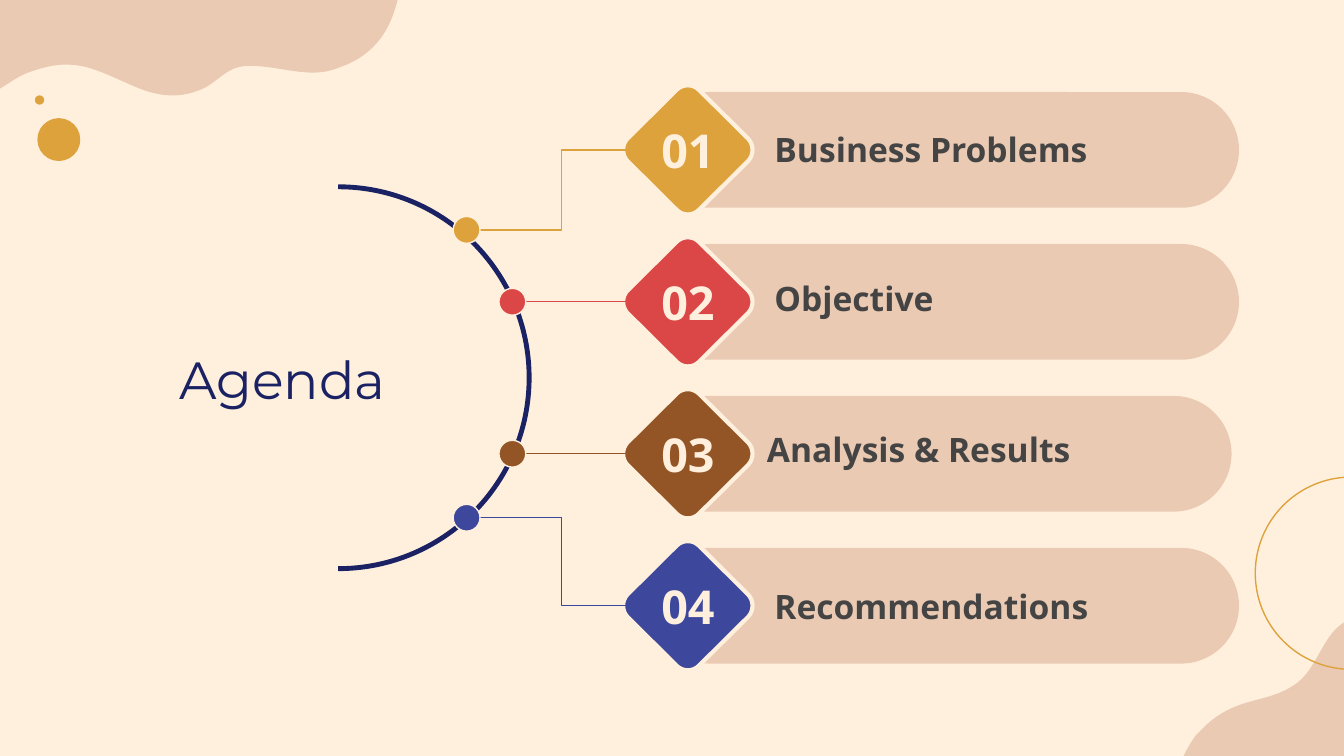
from lxml import etree
from pptx import Presentation
from pptx.dml.color import RGBColor
from pptx.enum.shapes import MSO_CONNECTOR, MSO_SHAPE
from pptx.enum.text import MSO_ANCHOR, MSO_AUTO_SIZE, PP_ALIGN
from pptx.oxml.ns import qn
from pptx.util import Pt

OVAL, PILL = MSO_SHAPE.OVAL, MSO_SHAPE.ROUNDED_RECTANGLE
STRAIGHT, ELBOW = MSO_CONNECTOR.STRAIGHT, MSO_CONNECTOR.ELBOW
LEFT, CENTER = PP_ALIGN.LEFT, PP_ALIGN.CENTER

CREAM, PEACH, GOLD, NAVY, GREY = "FFF0DE", "EBCAB3", "DEA23C", "1A2263", "444444"

# Content: number, label, colour, dot x, dot y (None = on the row), label y, shift of bar and label
TITLE = "Agenda"
ITEMS = [
    ("01", "Business Problems", GOLD, 250, 123.2, 79.8, 0),
    ("02", "Objective", "DB4646", 274.5, None, 159.5, 0),
    ("03", "Analysis & Results", "945526", 274.5, None, 240.8, -4),
    ("04", "Recommendations", "3D489C", 250, 277.4, 324.8, 0),
]

# Layout in points
ROW_Y, ROW_PITCH = 80.3, 81.4
BAR_X, BAR_W, BAR_H = 349.2, 314.6, 62
DIAMOND_X = 368.5
LINE_X, ELBOW_X = 337, 301
DOT_SIZE = 14.4
LABEL_X, LABEL_W, LABEL_H = 407.8, 240, 19.4

# Outlines: a start point, then lines (x, y) and curves (two control points and an end)
TOP_BLOB = [
    (0, 0), (0, 47.5),
    (5, 44.6, 9.4, 41, 15.1, 38.9), (23, 36, 29.5, 34.6, 35.3, 34.6),
    (49, 34.6, 59, 41, 74.9, 47.5), (80.6, 49.7, 86.4, 51.1, 92.2, 51.1),
    (98.6, 51.1, 104.4, 49.7, 110.2, 46.8), (118.8, 41.8, 122.4, 35.3, 133.5, 35.3),
    (146.2, 35.3, 156.2, 38.9, 167.8, 38.9), (172.1, 38.9, 177.1, 38.2, 182.2, 36),
    (198.7, 30.2, 208.1, 18.7, 212.4, 2.2), (212.4, 1.4, 213.1, 0.7, 213.1, 0),
]
BOTTOM_BLOB = [
    (640.8, 393.8),
    (641.5, 393.1, 642.2, 392.4, 643, 391.7), (648.7, 385.2, 656.6, 380.2, 665.3, 377.3),
    (673.9, 374.4, 684, 373, 691.9, 367.9), (702, 362.2, 705.6, 350.6, 712.1, 341.3),
    (715.7, 336.2, 721.4, 331.2, 727.9, 330.5), (741.6, 329, 746.6, 342, 746.6, 353.5),
    (746.6, 367.2, 740.2, 380.2, 733.7, 392.4), (727.9, 403.2, 720, 413.3, 711.4, 421.2),
    (698.4, 432.7, 682.6, 444.2, 666, 448.6), (653.8, 452.2, 639.4, 447.8, 632.9, 437),
    (625, 423.4, 632.2, 405.4, 640.8, 393.8),
]
HALF_CIRCLE = [
    (181.2, 100.1),
    (237.7, 100.1, 283.5, 145.9, 283.5, 202.4), (283.5, 258.9, 237.7, 304.7, 181.2, 304.7),
]
DIAMOND = [  # around its centre
    (0, -34.6), (-2.2, -34.6, -4.3, -33.8, -5.9, -32.2),
    (-32.4, -5.9), (-35.4, -2.6, -35.4, 2.6, -32.4, 5.9),
    (-5.9, 32.2), (-4.3, 33.8, -2.2, 34.6, 0, 34.6), (2.2, 34.6, 4.3, 33.8, 5.9, 32.2),
    (32.4, 5.9), (35.4, 2.6, 35.4, -2.6, 32.4, -5.9),
    (5.9, -32.2), (4.3, -33.8, 2.2, -34.6, 0, -34.6),
]


def color(hex_code):
    return RGBColor.from_string(hex_code)


def paint(shape, fill=None, line=None, width=0.75):
    shape.shadow.inherit = False
    if fill:
        shape.fill.solid()
        shape.fill.fore_color.rgb = color(fill)
    else:
        shape.fill.background()
    if line:
        shape.line.color.rgb = color(line)
        shape.line.width = Pt(width)
    else:
        shape.line.fill.background()


def preset(kind, x, y, w, h, **style):
    shape = slide.shapes.add_shape(kind, Pt(x), Pt(y), Pt(w), Pt(h))
    paint(shape, **style)
    return shape


def outline(segments, x=0, y=0, close=True, **style):
    steps = [[(Pt(x + px), Pt(y + py)) for px, py in zip(s[::2], s[1::2])] for s in segments]
    builder = slide.shapes.build_freeform(*steps[0][0])
    builder.add_line_segments([point for step in steps[1:] for point in step], close=close)
    shape = builder.convert_to_shape()
    # Join every three points of a curve into one Bezier segment
    lines = iter(list(shape._element.iter(qn("a:lnTo"))))
    for step in steps[1:]:
        parts = [next(lines) for _ in step]
        if len(parts) == 3:
            curve = etree.Element(qn("a:cubicBezTo"))
            parts[0].addprevious(curve)
            for part in parts:
                curve.append(part[0])
                part.getparent().remove(part)
    paint(shape, **style)


def connect(x1, y1, x2, y2, hex_code):
    kind = STRAIGHT if y1 == y2 else ELBOW
    line = slide.shapes.add_connector(kind, Pt(x1), Pt(y1), Pt(x2), Pt(y2))
    line.line.color.rgb = color(hex_code)
    line.line.width = Pt(0.75)
    properties = line._element.spPr
    etree.SubElement(properties, qn("a:effectLst"))
    if kind == ELBOW:
        bend = round(100000 * (x1 - ELBOW_X) / (x1 - x2))
        guides = properties.find(qn("a:prstGeom")).get_or_add_avLst()
        etree.SubElement(guides, qn("a:gd"), name="adj1", fmla=f"val {bend}")


def write(box, text, size, font, hex_code, align, bold=False):
    frame = box.text_frame
    frame.word_wrap = True
    frame.auto_size = MSO_AUTO_SIZE.NONE
    frame.vertical_anchor = MSO_ANCHOR.MIDDLE
    frame.margin_left = frame.margin_right = Pt(7.2)
    frame.margin_top = frame.margin_bottom = Pt(7.2)
    paragraph = frame.paragraphs[0]
    paragraph.alignment = align
    run = paragraph.add_run()
    run.text = text
    run.font.size, run.font.name, run.font.bold = Pt(size), font, bold
    run.font.color.rgb = color(hex_code)


def text_box(x, middle, w, h, *text_style, **options):
    box = slide.shapes.add_textbox(Pt(x), Pt(middle - h / 2), Pt(w), Pt(h))
    write(box, *text_style, **options)


prs = Presentation()
prs.slide_width, prs.slide_height = Pt(720), Pt(405)
slide = prs.slides.add_slide(prs.slide_layouts[5])
slide.background.fill.solid()
slide.background.fill.fore_color.rgb = color(CREAM)

# Corner decoration
outline(TOP_BLOB, fill=PEACH)
outline(BOTTOM_BLOB, fill=PEACH)
preset(OVAL, 18.7, 51.1, 5, 5, fill=GOLD)
preset(OVAL, 20, 63.3, 23, 23, fill=GOLD)
preset(OVAL, 672.5, 255.6, 103, 103, line=GOLD)

# Title and half circle
title = slide.shapes.title
title.left, title.top, title.width, title.height = Pt(45.4), Pt(157), Pt(211.7), Pt(91.4)
write(title, TITLE, 28, "Montserrat", NAVY, CENTER)
outline(HALF_CIRCLE, close=False, line=NAVY, width=2.61)

# Agenda rows
for i, (number, label, hue, dot_x, dot_y, label_y, shift) in enumerate(ITEMS):
    y = ROW_Y + i * ROW_PITCH
    dot_y = dot_y or y
    bar = preset(PILL, BAR_X + shift, y - BAR_H / 2, BAR_W, BAR_H, fill=PEACH)
    bar.adjustments[0] = 0.5
    outline(DIAMOND, DIAMOND_X, y, fill=hue, line=CREAM, width=2.25)
    connect(LINE_X, y, dot_x, dot_y, hue)
    preset(OVAL, dot_x - DOT_SIZE / 2, dot_y - DOT_SIZE / 2, DOT_SIZE, DOT_SIZE,
           fill=hue, line=CREAM)
    text_box(DIAMOND_X - 35.2, y, 70.4, BAR_H, number, 25, "Open Sans", CREAM, CENTER, bold=True)
    text_box(LABEL_X + shift, label_y, LABEL_W, LABEL_H,
             label, 18, "Open Sans", GREY, LEFT, bold=True)

prs.save("out.pptx")
